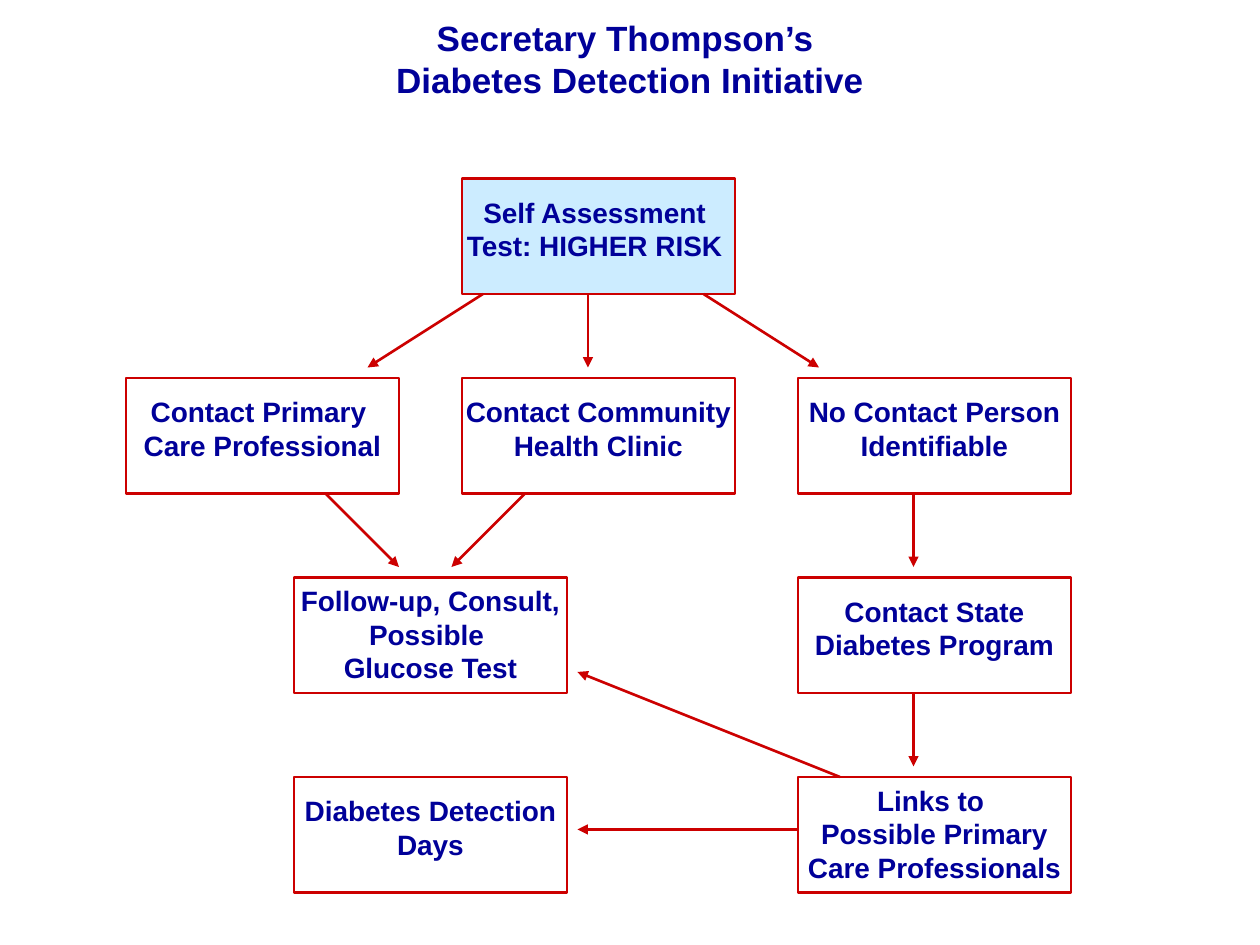
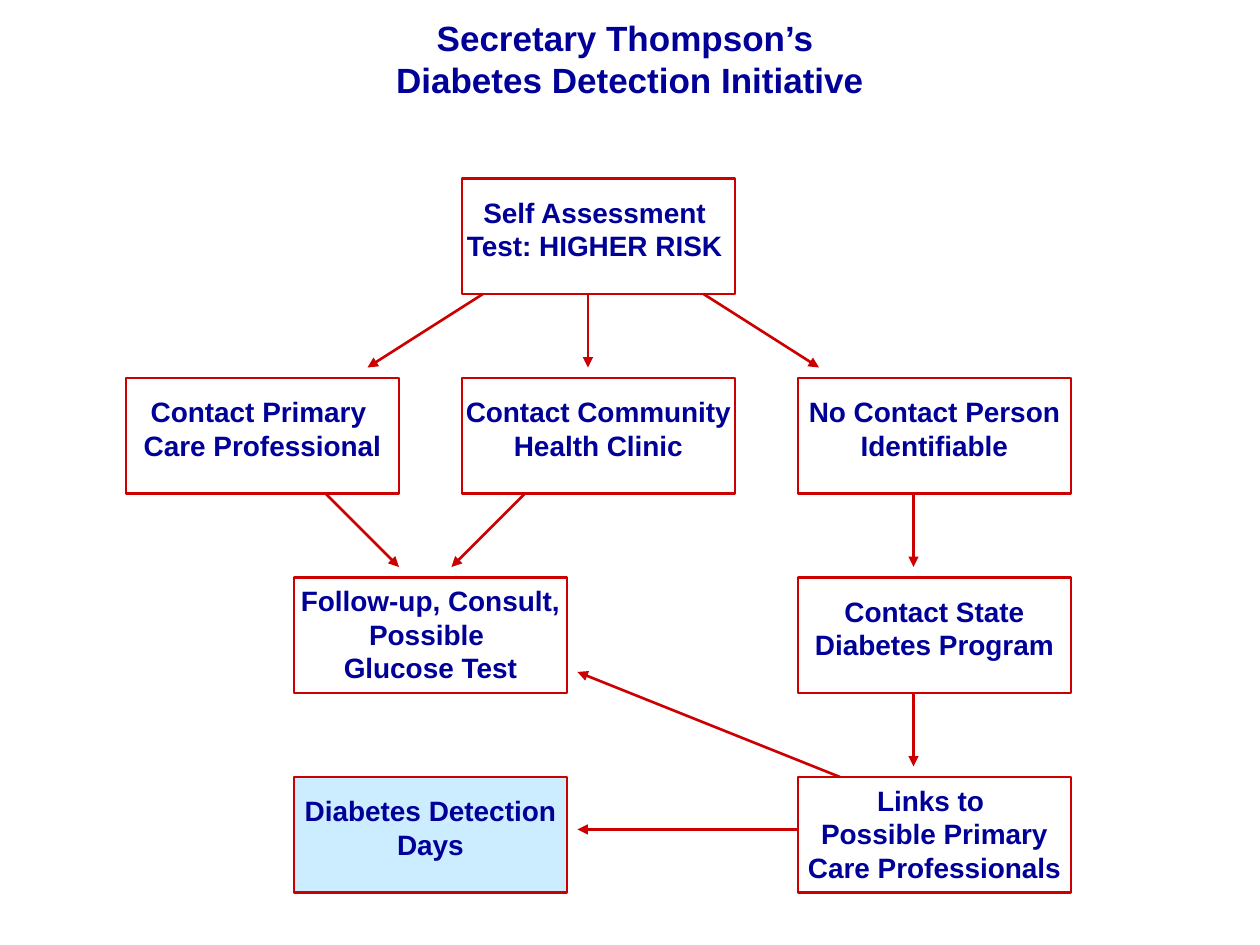
"""Build two flow charts of a diabetes detection initiative."""
from dataclasses import dataclass

from lxml.etree import SubElement
from pptx import Presentation
from pptx.dml.color import RGBColor
from pptx.enum.shapes import MSO_CONNECTOR as CONN, MSO_SHAPE as SHAPE
from pptx.enum.text import PP_ALIGN as ALIGN
from pptx.oxml.ns import qn
from pptx.util import Inches, Pt


@dataclass(frozen=True)
class Theme:
    """Colours, type and line sizes shared by the slides."""
    text: RGBColor = RGBColor.from_string("000099")
    line: RGBColor = RGBColor.from_string("CC0000")
    box: RGBColor = RGBColor.from_string("FFFFFF")
    highlight: RGBColor = RGBColor.from_string("CCECFF")
    font: str = "Arial"
    title_size: int = 20
    box_size: int = 16
    leading: float = 1.2
    line_width: float = 1.5


THEME = Theme()

UNIT = Inches(1) / 12
BOX_W, BOX_H = 26, 11
COL_STEP, ROW_STEP = 16, 19
LEFT, TOP = 12, 17
LABEL_OVERHANG = 2

TITLE = "Secretary Thompson’s \vDiabetes Detection Initiative"

# name: (column, row, label, number of lines)
BOXES = {
    "test": (2, 0, "Self Assessment \vTest: HIGHER RISK ", 2),
    "clinic": (2, 1, "Contact Community Health Clinic", 2),
    "nobody": (4, 1, "No Contact Person Identifiable", 2),
    "primary": (0, 1, "Contact Primary \vCare Professional", 2),
    "state": (4, 2, "Contact State Diabetes Program", 2),
    "links": (4, 3, "Links to \vPossible Primary Care Professionals", 3),
    "follow_up": (1, 2, "Follow-up, Consult, Possible \vGlucose Test", 3),
    "days": (1, 3, "Diabetes Detection Days", 2),
}

# (from box, offset in it, to box, offset in it), offsets in grid units
ARROWS = [
    ("test", (12, BOX_H), "clinic", (12, -1)),
    ("test", (23, BOX_H), "nobody", (2, -1)),
    ("test", (2, BOX_H), "primary", (23, -1)),
    ("nobody", (11, BOX_H), "state", (11, -1)),
    ("state", (11, BOX_H), "links", (11, -1)),
    ("primary", (19, BOX_H), "follow_up", (10, -1)),
    ("clinic", (6, BOX_H), "follow_up", (15, -1)),
    ("links", (4, 0), "follow_up", (BOX_W + 1, 9)),
    ("links", (0, 5), "days", (BOX_W + 1, 5)),
]


def emu(*units):
    """Convert grid units to slide lengths."""
    return [round(u * UNIT) for u in units]


def corner(name):
    """Return the top left corner of a box in grid units."""
    col, row = BOXES[name][:2]
    return LEFT + col * COL_STEP, TOP + row * ROW_STEP


def add_label(slide, text, x, y, w, lines, size):
    """Add centred bold text that is a given number of lines high."""
    height = Pt(lines * size * THEME.leading) + Inches(0.1)
    sp = slide.shapes.add_textbox(*emu(x, y, w), height)
    tf = sp.text_frame
    tf.word_wrap = True
    p = tf.paragraphs[0]
    p.text = text
    p.alignment = ALIGN.CENTER
    p.line_spacing = Pt(size * THEME.leading)
    for r in p.runs:
        r.font.name = THEME.font
        r.font.size = Pt(size)
        r.font.bold = True
        r.font.color.rgb = THEME.text


def style_line(line):
    """Give an outline or connector the shared line style."""
    line.color.rgb = THEME.line
    line.width = Pt(THEME.line_width)


def add_box(slide, name, fill):
    """Add one framed step and its label."""
    x, y = corner(name)
    _, _, text, lines = BOXES[name]
    sp = slide.shapes.add_shape(SHAPE.RECTANGLE, *emu(x, y, BOX_W, BOX_H))
    sp.shadow.inherit = False
    sp.fill.solid()
    sp.fill.fore_color.rgb = fill
    style_line(sp.line)
    label_y = y + (1 if lines == 2 else 0)
    add_label(slide, text, x - LABEL_OVERHANG, label_y,
              BOX_W + 2 * LABEL_OVERHANG, lines, THEME.box_size)


def add_arrow(slide, source, start, target, end):
    """Add an arrow between points given relative to two boxes."""
    (x1, y1), (x2, y2) = corner(source), corner(target)
    points = emu(x1 + start[0], y1 + start[1], x2 + end[0], y2 + end[1])
    cxn = slide.shapes.add_connector(CONN.STRAIGHT, *points)
    style_line(cxn.line)
    SubElement(cxn.line._get_or_add_ln(), qn("a:tailEnd"), type="triangle")
    SubElement(cxn._element.spPr, qn("a:effectLst"))


def add_flow_slide(prs, highlighted):
    """Add the whole flow chart with one step highlighted."""
    slide = prs.slides.add_slide(prs.slide_layouts[6])
    for name in BOXES:
        add_box(slide, name,
                THEME.highlight if name == highlighted else THEME.box)
    for arrow in ARROWS:
        add_arrow(slide, *arrow)
    add_label(slide, TITLE, 0, 1, prs.slide_width / UNIT, 2, THEME.title_size)


def main():
    """Build and save the presentation."""
    prs = Presentation()
    prs.slide_width, prs.slide_height = Inches(10), Inches(7.5)
    for highlighted in ("test", "days"):
        add_flow_slide(prs, highlighted)
    prs.save("out.pptx")


if __name__ == "__main__":
    main()
